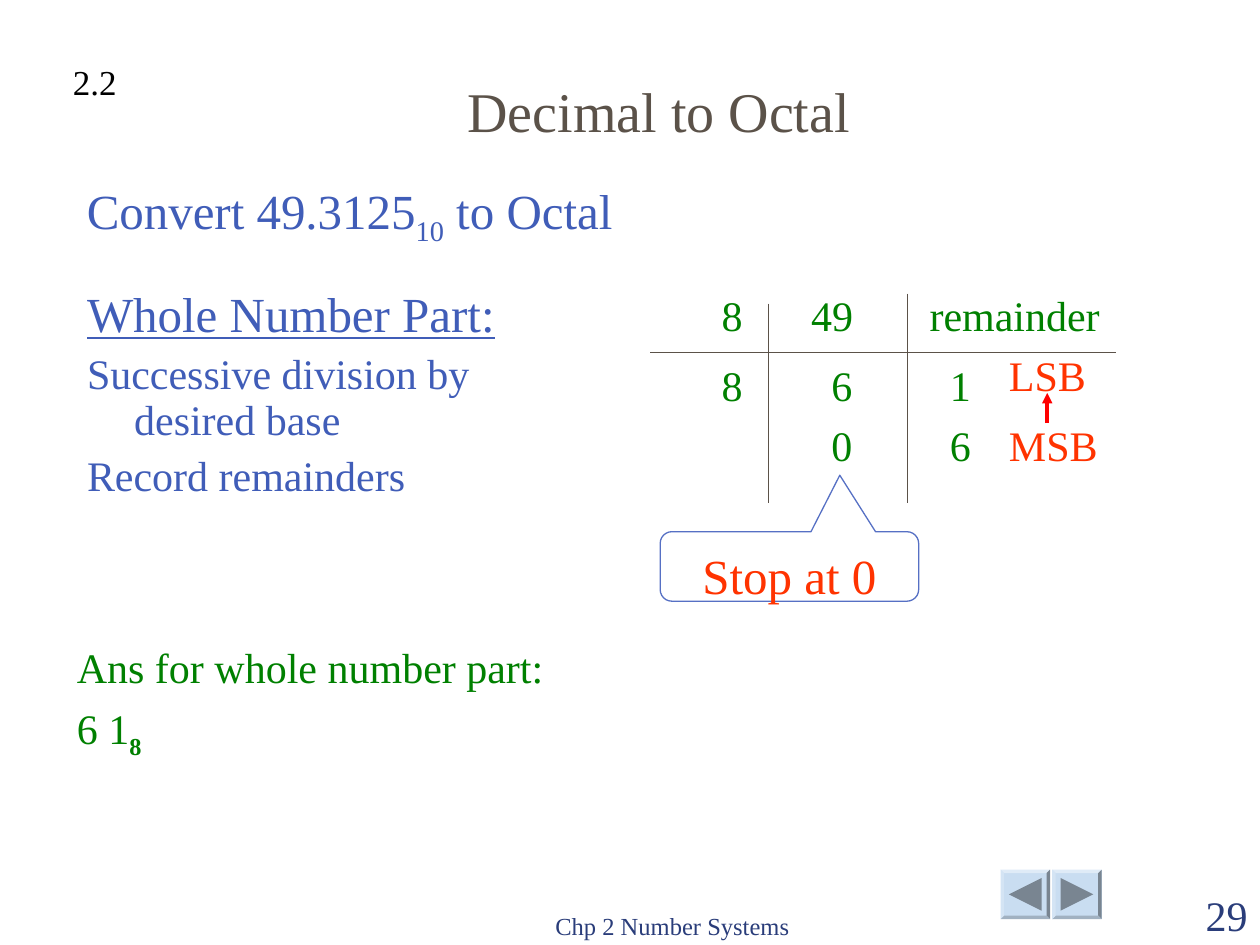
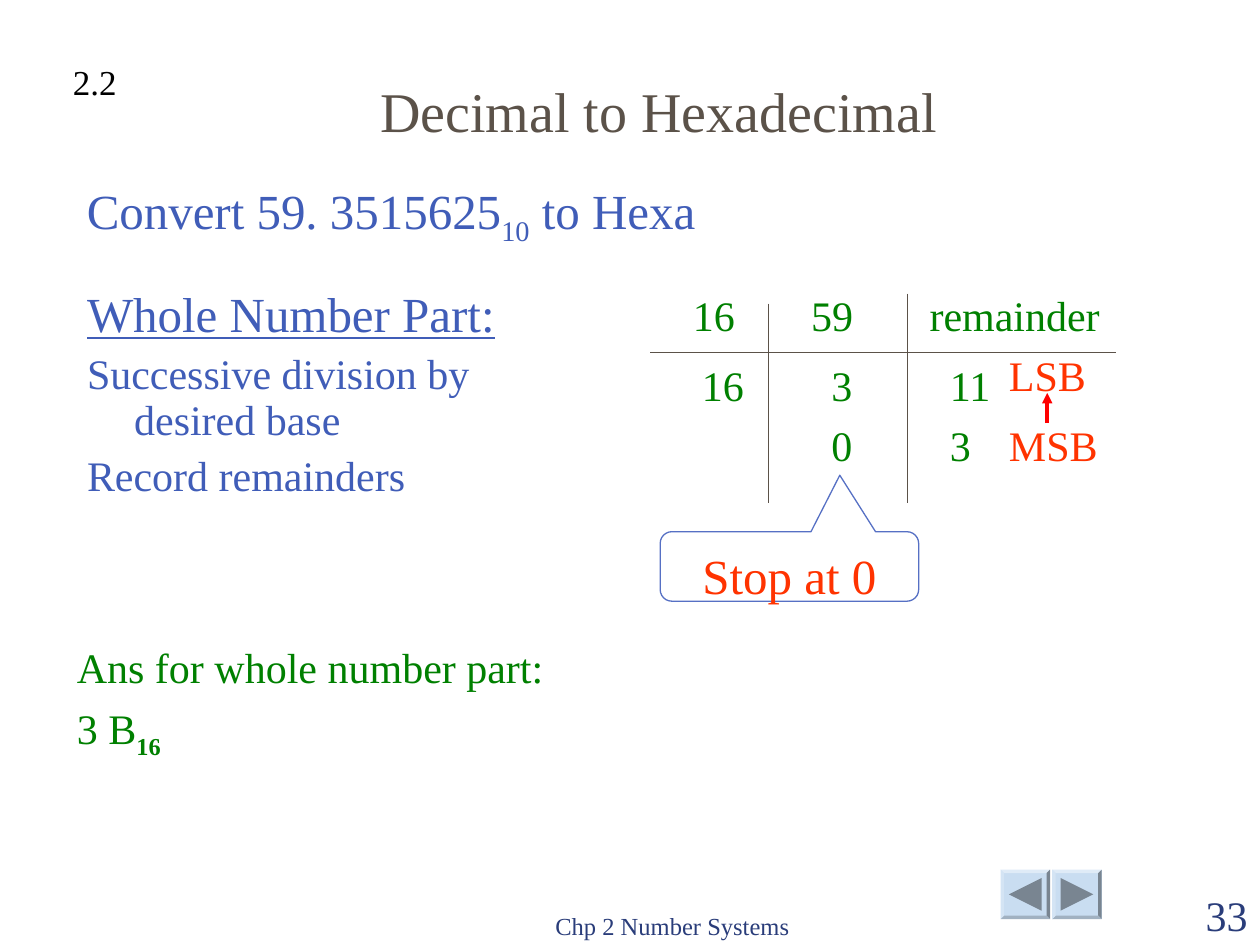
"""Builds two slides on converting decimal whole numbers to octal and hexadecimal."""
from lxml import etree
from pptx import Presentation
from pptx import util as u
from pptx.dml.color import RGBColor
from pptx.enum import shapes, text
from pptx.oxml import ns

FONT = "Times New Roman"
BLUE, NAVY, BROWN, GREEN = "405DB8", "2A3D7A", "5B5249", "008000"
ORANGE, RED, BLACK, OUTLINE = "FF3300", "FF0000", "000000", "5670C4"
FACE, TOP, LEFT, BOTTOM, RIGHT = "C9DDF1", "DFEBF7", "D4E4F4", "A1B1C1", "798591"
ROWS = (5.72, 7.12, 8.33)
SIDE, BEVEL = 1, 0.07


def rgb(color):
    """Turn a hex string into a colour."""
    return RGBColor.from_string(color)


def box(*lengths):
    """Turn centimetres into lengths."""
    return [u.Cm(n) for n in lengths]


def add_run(p, words, size, color, bold=None, underline=None, sub=False):
    """Add one formatted run to a paragraph."""
    r = p.add_run()
    r.text = words
    f = r.font
    f.name, f.size, f.bold, f.underline = FONT, u.Pt(size), bold, underline
    f.color.rgb = rgb(color)
    if sub:
        r._r.get_or_add_rPr().set("baseline", "-25000")


def add_text(s, at, words, size, color, align=text.PP_ALIGN.LEFT,
             anchor=text.MSO_ANCHOR.TOP):
    """Add a text box with one run and return its paragraph."""
    tf = s.shapes.add_textbox(*box(*at)).text_frame
    tf.word_wrap = True
    tf.vertical_anchor = anchor
    p = tf.paragraphs[0]
    p.alignment = align
    add_run(p, words, size, color)
    return p


def add_line(s, start, end, color=BROWN, width=0.75, arrow=False):
    """Add a straight line, with an arrowhead at its end if asked."""
    c = s.shapes.add_connector(shapes.MSO_CONNECTOR.STRAIGHT, *box(*start, *end))
    c.line.color.rgb = rgb(color)
    c.line.width = u.Pt(width)
    if arrow:
        etree.SubElement(c.line._get_or_add_ln(), ns.qn("a:tailEnd"), type="triangle")
    etree.SubElement(c._element.spPr, ns.qn("a:effectLst"))


def add_polygon(s, points, color):
    """Add a filled outline without a border."""
    start, *rest = [box(*point) for point in points]
    builder = s.shapes.build_freeform(*start)
    builder.add_line_segments(rest)
    sp = builder.convert_to_shape()
    sp.shadow.inherit = False
    sp.fill.solid()
    sp.fill.fore_color.rgb = rgb(color)
    sp.line.fill.background()


def add_button(s, x, y, forward):
    """Add a bevelled navigation button with a triangle."""
    outer = [(x, y), (x + SIDE, y), (x + SIDE, y + SIDE), (x, y + SIDE)]
    a, b = BEVEL, SIDE - BEVEL
    inner = [(x + a, y + a), (x + b, y + a), (x + b, y + b), (x + a, y + b)]
    add_polygon(s, outer, FACE)
    for i, color in enumerate((TOP, RIGHT, BOTTOM, LEFT)):
        j = (i + 1) % 4
        add_polygon(s, (outer[i], outer[j], inner[j], inner[i]), color)
    base, tip = (0.17, 0.83) if forward else (0.83, 0.17)
    triangle = ((x + base, y + 0.17), (x + tip, y + 0.5), (x + base, y + 0.83))
    add_polygon(s, triangle, RIGHT)


def add_frame(s, title, number):
    """Set the title and add the section, buttons, footer and number."""
    sp = s.shapes.title
    sp.left, sp.top, sp.width, sp.height = box(2.49, 1.32, 21.59, 1.7)
    tf = sp.text_frame
    tf.auto_size = text.MSO_AUTO_SIZE.NONE
    tf.vertical_anchor = text.MSO_ANCHOR.BOTTOM
    tf.paragraphs[0].alignment = text.PP_ALIGN.CENTER
    add_run(tf.paragraphs[0], title, 32, BROWN)
    add_text(s, (1.22, 1.09, 1.6, 1.12), "2.2", 20, BLACK)
    for x, forward in ((20.17, False), (21.21, True)):
        add_button(s, x, 17.53, forward)
    add_text(s, (9.53, 17.81, 8.05, 1.27), "Chp 2 Number Systems", 14, NAVY,
             text.PP_ALIGN.CENTER, text.MSO_ANCHOR.BOTTOM)
    add_text(s, (22.86, 17.81, 2.54, 1.27), number, 24, NAVY,
             text.PP_ALIGN.RIGHT, text.MSO_ANCHOR.BOTTOM)


def add_steps(s):
    """Fill the body placeholder with the method."""
    sp = s.placeholders[1]
    sp.left, sp.top, sp.width, sp.height = box(1.5, 5.72, 10.59, 4.8)
    tf = sp.text_frame
    tf.auto_size = text.MSO_AUTO_SIZE.NONE
    steps = ("Whole Number Part:", "Successive division by desired base",
             "Record remainders")
    for i, step in enumerate(steps):
        p = tf.add_paragraph() if i else tf.paragraphs[0]
        pPr = p._p.get_or_add_pPr()
        pPr.set("marL", str(u.Cm(0.95)))
        pPr.set("indent", str(u.Cm(-0.95)))
        etree.SubElement(pPr, ns.qn("a:buNone"))
        p.line_spacing = 0.9
        p.space_before = u.Pt(6 if i else 0)
        add_run(p, step, 24 if i else 28, BLUE, underline=i == 0)


def add_problem(s, value, base_name):
    """Add the line that states the conversion."""
    p = add_text(s, (1.5, 3.53, 14, 1.7), "Convert " + value, 28, BLUE)
    p.line_spacing = 0.9
    add_run(p, "10", 28, BLUE, sub=True)
    add_run(p, " to " + base_name, 28, BLUE)


def add_division(s, base, divisor_lefts, quotients, remainders):
    """Add the successive division with its rules and labels."""
    add_line(s, (13.11, 7.11), (22.5, 7.11))
    add_line(s, (15.49, 6.12), (15.49, 10.13))
    add_line(s, (18.29, 5.92), (18.29, 10.13))
    cells = [(x, y, base) for x, y in zip(divisor_lefts, ROWS)]
    cells += zip((16.1, 16.51, 16.51), ROWS, quotients)
    cells += [(18.9, y, digit) for y, digit in zip(ROWS[1:], remainders)]
    for x, y, digits in cells:
        add_text(s, (x, y, 1.6, 1.27), digits, 24, GREEN)
    add_text(s, (18.49, ROWS[0], 4.1, 1.27), "remainder", 24, GREEN)
    for y, label in ((6.93, "LSB"), (ROWS[2], "MSB")):
        add_text(s, (20.09, y, 2.79, 1.27), label, 24, ORANGE)
    add_line(s, (21.11, 8.53), (21.11, 7.92), RED, 2, arrow=True)


def add_callout(s, words):
    """Add the callout that points at the last quotient."""
    sp = s.shapes.add_shape(shapes.MSO_SHAPE.ROUNDED_RECTANGULAR_CALLOUT,
                            *box(13.31, 10.72, 5.21, 1.4))
    for i, value in enumerate((0.195, -1.314, 0.167)):
        sp.adjustments[i] = value
    sp.shadow.inherit = False
    sp.fill.background()
    sp.line.color.rgb = rgb(OUTLINE)
    sp.line.width = u.Pt(0.75)
    tf = sp.text_frame
    tf.vertical_anchor = text.MSO_ANCHOR.TOP
    tf.margin_top, tf.margin_bottom = box(0.2, 0)
    tf.paragraphs[0].alignment = text.PP_ALIGN.CENTER
    add_run(tf.paragraphs[0], words, 28, ORANGE)


def add_answer(s, digits, base):
    """Add the answer for the whole number part."""
    p = add_text(s, (1.3, 12.93, 10.2, 2.44), "Ans for whole number part:", 24, GREEN)
    p.line_spacing = 0.9
    p = s.shapes[-1].text_frame.add_paragraph()
    p.line_spacing = 0.9
    p.space_before = u.Pt(6)
    add_run(p, digits, 24, GREEN)
    add_run(p, base, 24, GREEN, bold=True, sub=True)


def add_conversion(prs, number, title, value, base_name, base, divisor_lefts,
                   quotients, remainders, answer):
    """Add one worked conversion slide."""
    s = prs.slides.add_slide(prs.slide_layouts[1])
    add_frame(s, title, number)
    add_steps(s)
    add_answer(s, answer, base)
    add_problem(s, value, base_name)
    add_division(s, base, divisor_lefts, quotients, remainders)
    add_callout(s, "Stop at 0")


def main():
    """Build and save the presentation."""
    prs = Presentation()
    prs.slide_width, prs.slide_height = box(25.4, 19.05)
    add_conversion(prs, "29", "Decimal to Octal", "49.3125", "Octal", "8",
                   (14.3, 14.3), ("49", "6", "0"), ("1", "6"), "6 1")
    add_conversion(prs, "33", "Decimal to Hexadecimal", "59. 3515625", "Hexa", "16",
                   (13.72, 13.9), ("59", "3", "0"), ("11", "3"), "3 B")
    prs.save("out.pptx")


if __name__ == "__main__":
    main()
